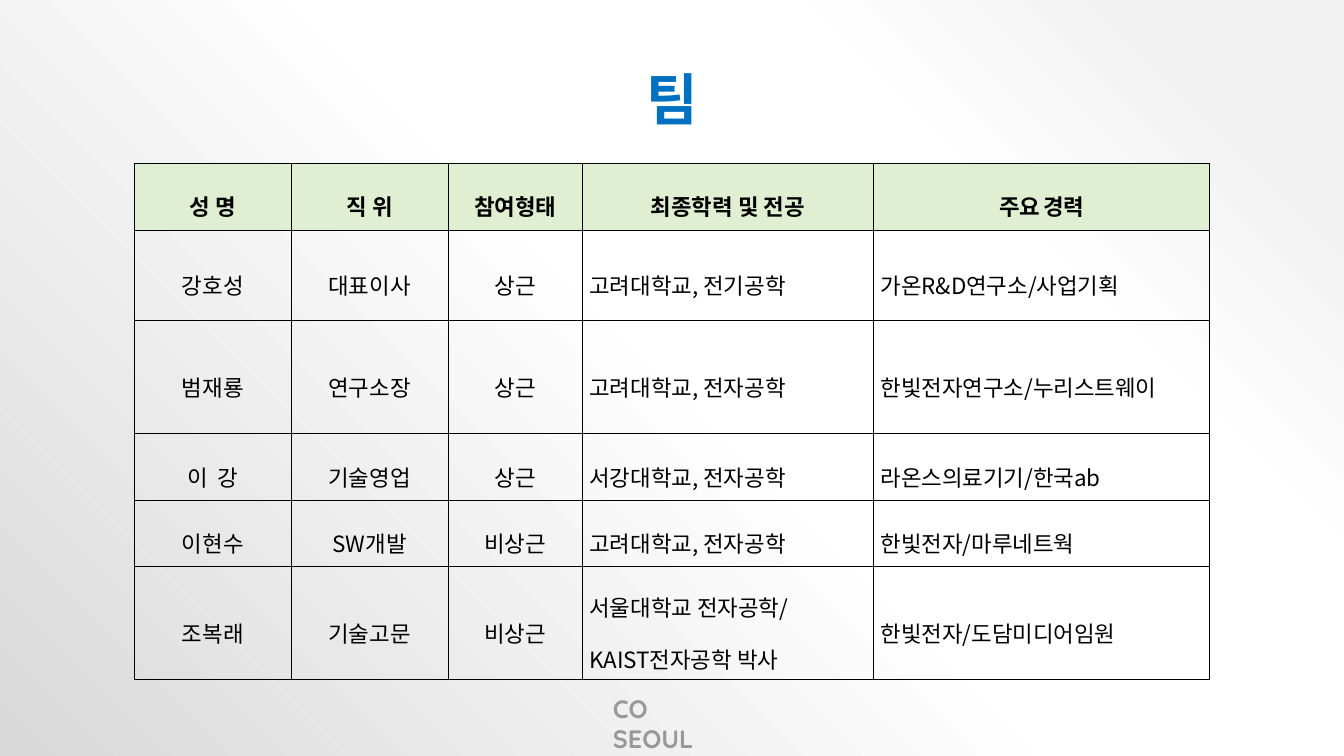
from lxml.etree import SubElement
from pptx import Presentation
from pptx.dml.color import RGBColor
from pptx.enum.text import MSO_ANCHOR, MSO_AUTO_SIZE, PP_ALIGN
from pptx.oxml import parse_xml
from pptx.oxml.ns import nsdecls, qn
from pptx.util import Inches, Pt

WIDTH, HEIGHT = Inches(13.33), Inches(7.5)
KOREAN, LATIN = "Noto Sans CJK KR", "Quicksand"
BACKDROP = [(10, "F2F2F2"), (28, "FFFFFF"), (48, "FFFFFF"), (100, "D9D9D9")]
COLUMN_SHARES = [7, 7, 6, 13, 15]
ROW_SHARES = [66, 90, 112, 66, 66, 112]
CENTRED_COLUMNS = 3
MEMBERS = [
    ["성 명", "직 위", "참여형태", "최종학력 및 전공", "주요 경력"],
    ["강호성", "대표이사", "상근", "고려대학교, 전기공학", "가온R&D연구소/사업기획"],
    ["범재룡", "연구소장", "상근", "고려대학교, 전자공학", "한빛전자연구소/누리스트웨이"],
    ["이  강", "기술영업", "상근", "서강대학교, 전자공학", "라온스의료기기/한국ab"],
    ["이현수", "SW개발", "비상근", "고려대학교, 전자공학", "한빛전자/마루네트웍"],
    ["조복래", "기술고문", "비상근", "서울대학교 전자공학/\nKAIST전자공학 박사", "한빛전자/도담미디어임원"],
]


def colour(code):
    """Turn a hex string into a colour."""
    return RGBColor.from_string(code)


def format_runs(paragraph, size, face, code, bold):
    """Give every run of a paragraph its font."""
    for run in paragraph.runs:
        font = run.font
        font.size, font.name, font.bold = Pt(size), face, bold
        font.color.rgb = colour(code)
        SubElement(font._element, qn("a:ea")).set("typeface", face)


def paint_background(slide):
    """Spread a radial gradient from the top right corner."""
    slide.background.fill.solid()
    stops = "".join(
        f'<a:gs pos="{share * 1000}"><a:srgbClr val="{code}"/></a:gs>' for share, code in BACKDROP
    )
    gradient = parse_xml(
        f'<a:gradFill {nsdecls("a")} rotWithShape="1"><a:gsLst>{stops}</a:gsLst>'
        '<a:path path="circle"><a:fillToRect l="100000" b="100000"/></a:path></a:gradFill>'
    )
    solid = slide.background._cSld.find(".//" + qn("a:solidFill"))
    solid.getparent().replace(solid, gradient)


def add_heading(slide, left, top, width, height):
    """Place the slide title in its box."""
    title = slide.shapes.title
    title.left, title.top, title.width, title.height = left, top, width, height
    frame = title.text_frame
    frame.text = "팀"
    frame.vertical_anchor = MSO_ANCHOR.BOTTOM
    frame.auto_size = MSO_AUTO_SIZE.NONE
    heading = frame.paragraphs[0]
    heading.alignment, heading.line_spacing = PP_ALIGN.CENTER, 0.9
    format_runs(heading, 40, KOREAN, "0070C0", True)


def draw_borders(cell):
    """Rule the four sides of a cell with a thin black line."""
    properties = cell._tc.get_or_add_tcPr()
    for index, side in enumerate(("lnL", "lnR", "lnT", "lnB")):
        properties.insert(index, parse_xml(
            f'<a:{side} {nsdecls("a")} w="{Pt(0.28)}"><a:solidFill>'
            f'<a:srgbClr val="000000"/></a:solidFill></a:{side}>'
        ))


def fill_cell(cell, words, header, centred):
    """Write and format one cell."""
    cell.text_frame.text = words
    cell.vertical_anchor = MSO_ANCHOR.MIDDLE
    cell.margin_left = cell.margin_right = Inches(0.07)
    cell.margin_top = cell.margin_bottom = Inches(0.02)
    if header:
        cell.fill.solid()
        cell.fill.fore_color.rgb = colour("E0EED1")
    else:
        cell.fill.background()
    for paragraph in cell.text_frame.paragraphs:
        paragraph.alignment = PP_ALIGN.CENTER if centred else PP_ALIGN.JUSTIFY
        paragraph.line_spacing = 1.6
        format_runs(paragraph, 16, KOREAN, "000000", header)
    draw_borders(cell)


def add_member_table(slide, left, top, width, height):
    """Lay the team table out over its box by column and row shares."""
    members = slide.shapes.add_table(
        len(MEMBERS), len(COLUMN_SHARES), left, top, width, height
    ).table
    for column, share in zip(members.columns, COLUMN_SHARES):
        column.width = int(width * share / sum(COLUMN_SHARES))
    for row, share in zip(members.rows, ROW_SHARES):
        row.height = int(height * share / sum(ROW_SHARES))
    for r, member in enumerate(MEMBERS):
        for c, words in enumerate(member):
            fill_cell(members.cell(r, c), words, r == 0, r == 0 or c < CENTRED_COLUMNS)
    career = members.cell(0, len(COLUMN_SHARES) - 1).text_frame.paragraphs[0]
    career.runs[0].font._element.set("spc", "-50")


def add_footer(slide, left, top, width, height):
    """Write the team's mark below the table."""
    frame = slide.shapes.add_textbox(left, top, width, height).text_frame
    frame.word_wrap = True
    frame.text = "CO SEOUL"
    format_runs(frame.paragraphs[0], 18, LATIN, "989898", True)


def build_team_slide(deck):
    """Add the team slide."""
    slide = deck.slides.add_slide(deck.slide_layouts[5])
    paint_background(slide)
    left, width = int(WIDTH * 0.1), int(WIDTH * 0.8)
    add_heading(slide, left, Inches(0.52), width, Inches(0.85))
    add_member_table(slide, left, Inches(1.62), width, Inches(5.12))
    add_footer(slide, Inches(5.98), Inches(6.83), Inches(1.3), Inches(0.4))


def main():
    """Build and save the deck."""
    deck = Presentation()
    deck.slide_width, deck.slide_height = WIDTH, HEIGHT
    build_team_slide(deck)
    deck.save("out.pptx")


if __name__ == "__main__":
    main()
